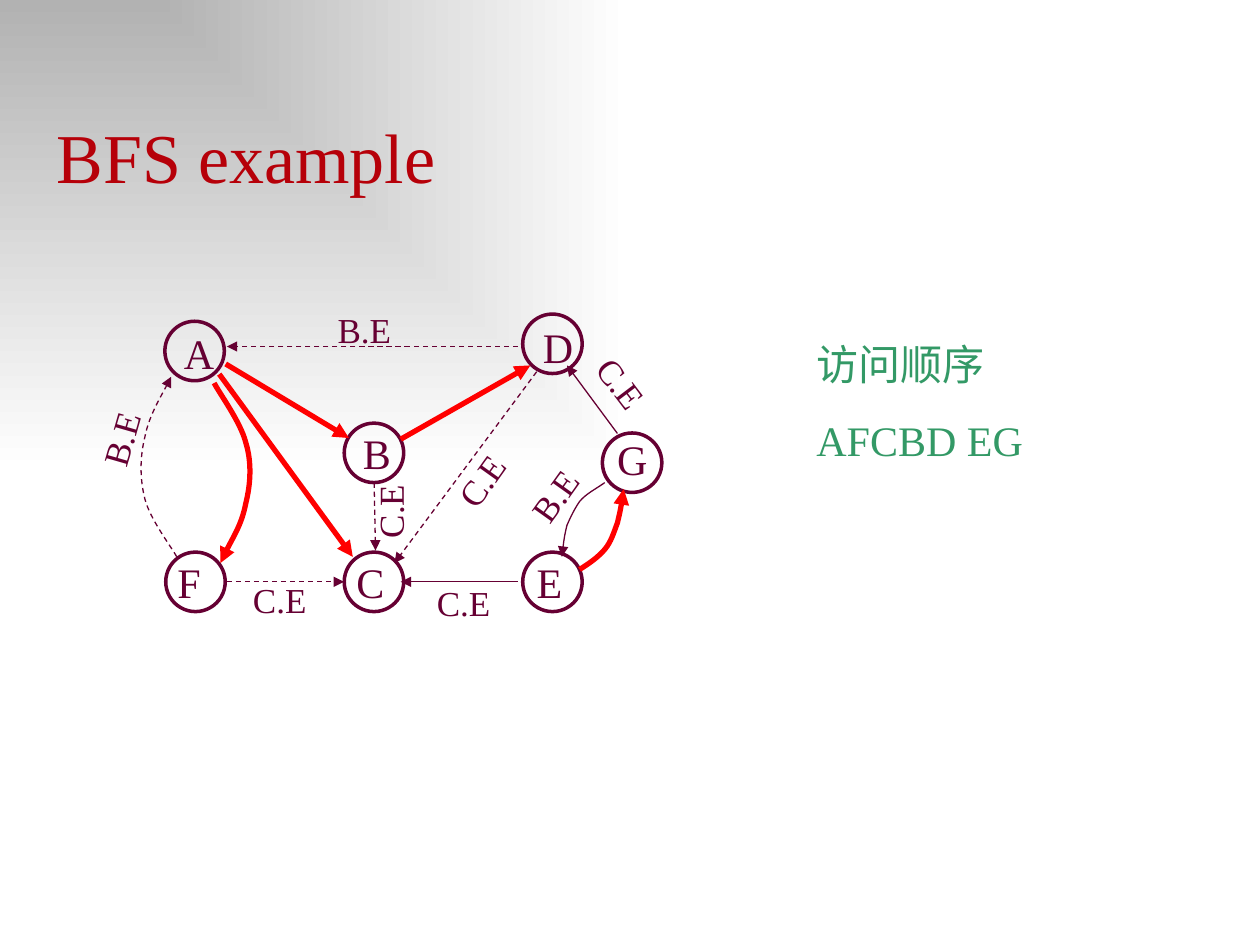
from lxml import etree
from pptx import Presentation
from pptx.dml.color import RGBColor
from pptx.enum.dml import MSO_LINE
from pptx.enum.shapes import MSO_CONNECTOR, MSO_SHAPE
from pptx.enum.text import MSO_ANCHOR
from pptx.oxml import parse_xml
from pptx.oxml.ns import nsdecls, qn
from pptx.util import Pt

FONT = "Times New Roman"
PLUM, RED, GREEN, TITLE_RED = "660033", "FF0000", "339966", "B60009"
NODE_SIZE = 34

# Vertices: letter, circle centre, top left of the letter box
nodes = [
    ("A", (111.2, 200.6), (98, 183.6)),
    ("B", (213.7, 258.8), (200.2, 240.5)),
    ("C", (213.7, 332.5), (196.6, 314.6)),
    ("D", (315.7, 196.5), (303.1, 180)),
    ("E", (315.7, 332.5), (299.5, 314.6)),
    ("F", (111.7, 332.5), (94.3, 314.6)),
    ("G", (361.2, 264.4), (345.6, 244)),
]

# Edge styles: colour, width, dashed
TREE = (RED, 3, False)
SOLID = (PLUM, 0.75, False)
DASHED = (PLUM, 0.75, True)

straight_edges = [
    ((296, 198), (129.6, 198), DASHED),         # D to A
    ((129, 208), (199.4, 250.3), TREE),         # A to B
    ((229, 251), (303.1, 208.8), TREE),         # B to D
    ((306.7, 212.4), (225.4, 321.8), DASHED),   # D to C
    ((129.6, 332.5), (196.6, 332.5), DASHED),   # F to C
    ((296, 332.5), (229, 332.5), SOLID),        # E to C
    ((352.8, 247.7), (324, 208.8), SOLID),      # G to D
    ((125.3, 213.8), (201.6, 318.2), TREE),     # A to C
    ((213.8, 275.8), (214.6, 314.6), DASHED),   # B to C
]

# Start point, then three Bezier points per curve section
curved_edges = [
    ([(101, 318.2), (97.9, 312.5), (85.7, 296.6), (82.8, 285.1),
      (79.9, 273.6), (79.9, 261.4), (82.8, 249.8),
      (85, 238.3), (94.3, 222.5), (97.9, 215.3)], DASHED),      # F to A
    ([(122.4, 218.9), (125.3, 224.6), (137.5, 241.2), (140.4, 252.7),
      (144, 264.2), (143.3, 276.5), (140.4, 288),
      (138.2, 299.5), (128.9, 314.6), (126, 321.8)], TREE),     # A to F
    ([(345.6, 275.8), (340.6, 279.4), (334.8, 282.2), (331.2, 286.6),
      (328.3, 290.9), (326.2, 295.2), (324, 300.2),
      (322.6, 306), (321.8, 311.8), (321.1, 318.2)], SOLID),    # G to E
    ([(331.2, 325.4), (337, 321.8), (342, 318.2), (345.6, 313.9),
      (349.2, 309.6), (350.6, 304.6), (352.8, 298.8),
      (354.2, 293), (355.7, 285.8), (356.4, 279.4)], TREE),     # E to G
]

# Edge labels: text, left, top, rotation
edge_labels = [
    ("C.E", 137.5, 326.9, 0),
    ("B.E", 39.6, 226.1, 286),
    ("C.E", 190.8, 267.1, 270),
    ("B.E", 185.8, 172.8, 0),
    ("C.E", 248.4, 251.3, 305.5),
    ("C.E", 329, 211, 52.8),
    ("C.E", 242.6, 329, 0),
    ("B.E", 290.2, 260, 305.5),
]


def rgb(color):
    return RGBColor.from_string(color)


def add_text(shapes, lines, box, size, color, rotation=0, anchor=MSO_ANCHOR.TOP):
    label = shapes.add_textbox(*map(Pt, box))
    label.rotation = rotation
    frame = label.text_frame
    frame.word_wrap = True
    frame.vertical_anchor = anchor
    frame.text = "\n".join(lines)
    for index, paragraph in enumerate(frame.paragraphs):
        paragraph.font.name = FONT
        paragraph.font.size = Pt(size)
        paragraph.font.color.rgb = rgb(color)
        if index:
            paragraph.space_before = Pt(size * 0.6)


def style_edge(edge, style):
    color, width, dashed = style
    edge.line.color.rgb = rgb(color)
    edge.line.width = Pt(width)
    if dashed:
        edge.line.dash_style = MSO_LINE.DASH
    etree.SubElement(edge.line._get_or_add_ln(), qn("a:tailEnd"), type="triangle")


def add_straight(shapes, start, end, style):
    edge = shapes.add_connector(MSO_CONNECTOR.STRAIGHT, *map(Pt, start + end))
    style_edge(edge, style)
    etree.SubElement(edge._element.spPr, qn("a:effectLst"))


def add_curve(shapes, points, style):
    start, *rest = [(Pt(x), Pt(y)) for x, y in points]
    builder = shapes.build_freeform(*start)
    builder.add_line_segments(rest, close=False)
    edge = builder.convert_to_shape()
    edge.fill.background()
    style_edge(edge, style)
    edge.shadow.inherit = False
    # Turn each three line segments into one cubic Bezier section
    segments = list(edge._element.iter(qn("a:lnTo")))
    for i in range(0, len(segments), 3):
        bezier = etree.Element(qn("a:cubicBezTo"))
        segments[i].addprevious(bezier)
        for segment in segments[i:i + 3]:
            bezier.append(segment[0])
            segment.getparent().remove(segment)


def set_background(slide):
    slide.background.fill.solid()
    solid = slide._element.find(".//" + qn("a:solidFill"))
    gradient = parse_xml(
        f'<a:gradFill {nsdecls("a")} rotWithShape="0"><a:gsLst>'
        '<a:gs pos="0"><a:srgbClr val="B2B2B2"/></a:gs>'
        '<a:gs pos="100000"><a:srgbClr val="FFFFFF"/></a:gs></a:gsLst>'
        '<a:path path="rect"><a:fillToRect r="100000" b="100000"/></a:path>'
        '</a:gradFill>')
    solid.getparent().replace(solid, gradient)


def main():
    deck = Presentation()
    deck.slide_width, deck.slide_height = Pt(720), Pt(540)
    slide = deck.slides.add_slide(deck.slide_layouts[6])
    shapes = slide.shapes
    set_background(slide)

    # Title
    add_text(shapes, ["BFS example"], (25.2, 61.2, 680.4, 55.4), 40, TITLE_RED,
             anchor=MSO_ANCHOR.BOTTOM)

    # Vertex circles
    for _, (x, y), _ in nodes:
        circle = shapes.add_shape(
            MSO_SHAPE.OVAL, Pt(x - NODE_SIZE / 2), Pt(y - NODE_SIZE / 2),
            Pt(NODE_SIZE), Pt(NODE_SIZE))
        circle.fill.background()
        circle.line.color.rgb = rgb(PLUM)
        circle.line.width = Pt(2)
        circle.shadow.inherit = False

    # Edges
    for start, end, style in straight_edges:
        add_straight(shapes, start, end, style)
    for points, style in curved_edges:
        add_curve(shapes, points, style)

    # Vertex letters and edge labels
    for letter, _, corner in nodes:
        add_text(shapes, [letter], (*corner, 46, 36), 24, PLUM)
    for text, left, top, rotation in edge_labels:
        add_text(shapes, [text], (left, top, 64, 31), 20, PLUM, rotation)

    # Visiting order
    add_text(shapes, ["访问顺序", "AFCBD EG"], (459.4, 190, 202.3, 80), 24, GREEN)

    deck.save("out.pptx")


if __name__ == "__main__":
    main()
